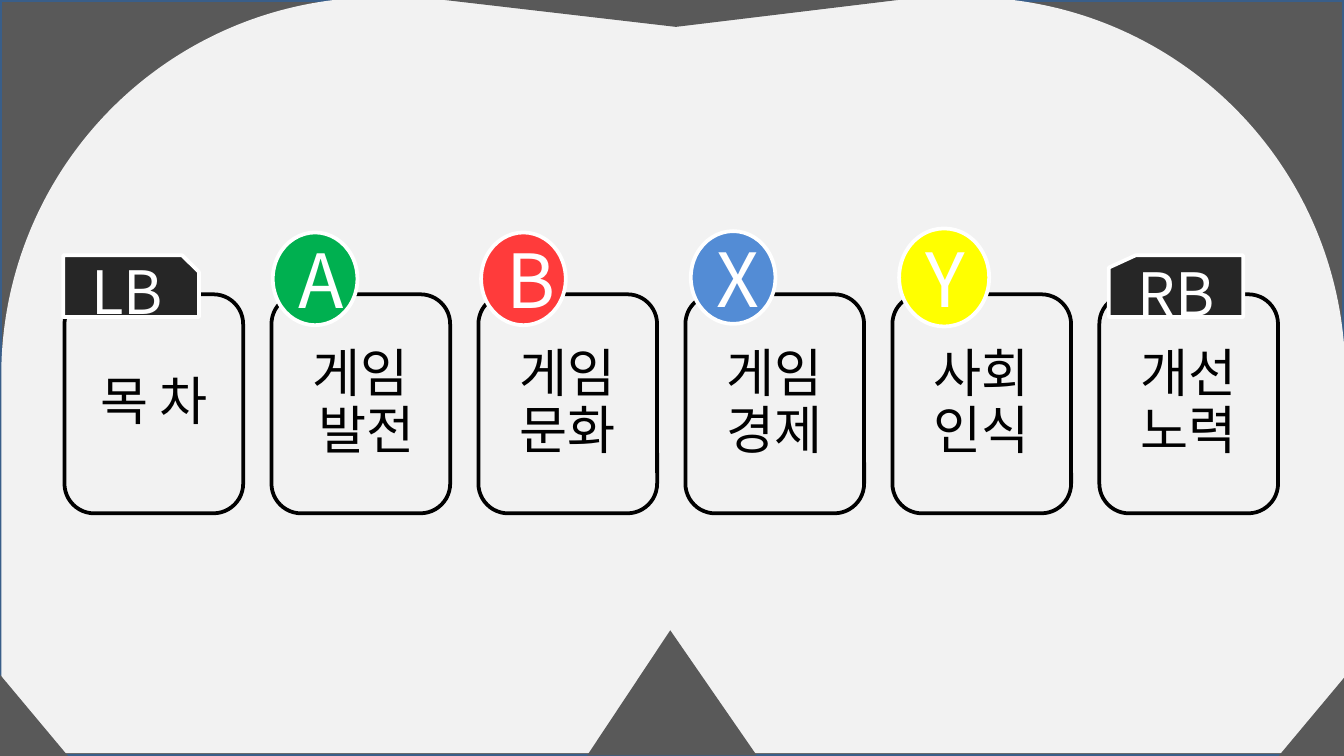
"""Build a contents slide of six cards marked with game-pad buttons."""
from pptx import Presentation
from pptx.dml.color import RGBColor
from pptx.enum.shapes import MSO_SHAPE as Kind
from pptx.enum.text import MSO_ANCHOR, PP_ALIGN
from pptx.util import Inches, Pt

THEME = {
    "dark": "595959", "edge": "395E89", "lens": "F2F2F2",
    "ink": "000000", "white": "FFFFFF", "key": "262626",
    "green": "00B050", "red": "FF3B3B", "blue": "538CD5", "yellow": "FFFF00",
    "body": "Arial", "label": "Noto Sans CJK KR",
    "card": 28, "round": 40, "bumper": 32, "line": 2,
}
WIDE = 10
HIGH = WIDE * 9 / 16

MASK = [
    (Kind.RECTANGLE, (0, 0, WIDE, HIGH), "dark", "edge", (), 0),
    (Kind.ROUND_2_SAME_RECTANGLE, (0.01, -0.02, WIDE, HIGH), "lens", None, (0.5, 0), 0),
    (Kind.ISOSCELES_TRIANGLE, (4.37, 4.69, 1.26, 0.93), "dark", None, (0.49,), 0),
    (Kind.ISOSCELES_TRIANGLE, (0, 5.02, 0.51, 0.61), "dark", None, (0,), 0),
    (Kind.ISOSCELES_TRIANGLE, (9.51, 5.02, 0.51, 0.61), "dark", None, (1,), 0),
    (Kind.ISOSCELES_TRIANGLE, (3.31, 0, 3.37, 0.2), "dark", None, (0.49,), 180),
]
CARDS = ["목 차", "게임\v 발전", "게임\v문화", "게임\v경제", "사회\v인식", "개선\v노력"]
LEFT, TOP, STEP, CARD, PAD = 0.48, 2.19, 1.54, (1.33, 1.63), 0.07
KEYS = [
    ("A", Kind.OVAL, (2.03, 1.73, 0.63, 0.69), "green", "round", ()),
    ("B", Kind.OVAL, (3.58, 1.73, 0.63, 0.69), "red", "round", ()),
    ("X", Kind.OVAL, (5.14, 1.72, 0.63, 0.69), "blue", "round", ()),
    ("Y", Kind.OVAL, (6.69, 1.7, 0.67, 0.73), "yellow", "round", ()),
    ("LB", Kind.SNIP_1_RECTANGLE, (0.47, 1.9, 1.01, 0.46), "key", "bumper", (0.27,)),
    ("RB", Kind.FLOWCHART_CARD, (8.25, 1.9, 1, 0.46), "key", "bumper", ()),
]


def tint(name):
    return RGBColor.from_string(THEME[name])


def draw(slide, kind, box, fill=None, line=None, adjust=(), turn=0):
    shape = slide.shapes.add_shape(kind, *map(Inches, box))
    shape.shadow.inherit = False
    shape.rotation = turn
    for i, value in enumerate(adjust):
        shape.adjustments[i] = value
    if fill:
        shape.fill.solid()
        shape.fill.fore_color.rgb = tint(fill)
    else:
        shape.fill.background()
    if line:
        shape.line.color.rgb = tint(line)
        shape.line.width = Pt(THEME["line"])
    else:
        shape.line.fill.background()
    return shape


def write(shape, text, face, size, color, inset):
    frame = shape.text_frame
    frame.word_wrap = True
    frame.vertical_anchor = MSO_ANCHOR.MIDDLE
    frame.margin_left = frame.margin_right = Inches(inset[0])
    frame.margin_top = frame.margin_bottom = Inches(inset[1])
    frame.text = text
    para = frame.paragraphs[0]
    para.alignment = PP_ALIGN.CENTER
    para.font.name = THEME[face]
    para.font.size = Pt(THEME[size])
    para.font.color.rgb = tint(color)
    return para


def main():
    deck = Presentation()
    deck.slide_width, deck.slide_height = Inches(WIDE), Inches(HIGH)
    slide = deck.slides.add_slide(deck.slide_layouts[6])
    for part in MASK:
        draw(slide, *part)
    for i, text in enumerate(CARDS):
        x = LEFT + i * STEP
        draw(slide, Kind.ROUNDED_RECTANGLE, (x, TOP, *CARD), line="ink")
        area = (x + PAD, TOP + PAD, CARD[0] - 2 * PAD, CARD[1] - 2 * PAD)
        label = slide.shapes.add_textbox(*map(Inches, area))
        para = write(label, text, "body", "card", "ink", (0.12, 0.12))
        para.line_spacing = 0.9
    for text, kind, box, fill, size, adjust in KEYS:
        key = draw(slide, kind, box, fill, "white", adjust)
        write(key, text, "label", size, "white", (0.1, 0.05))
    deck.save("out.pptx")


if __name__ == "__main__":
    main()
